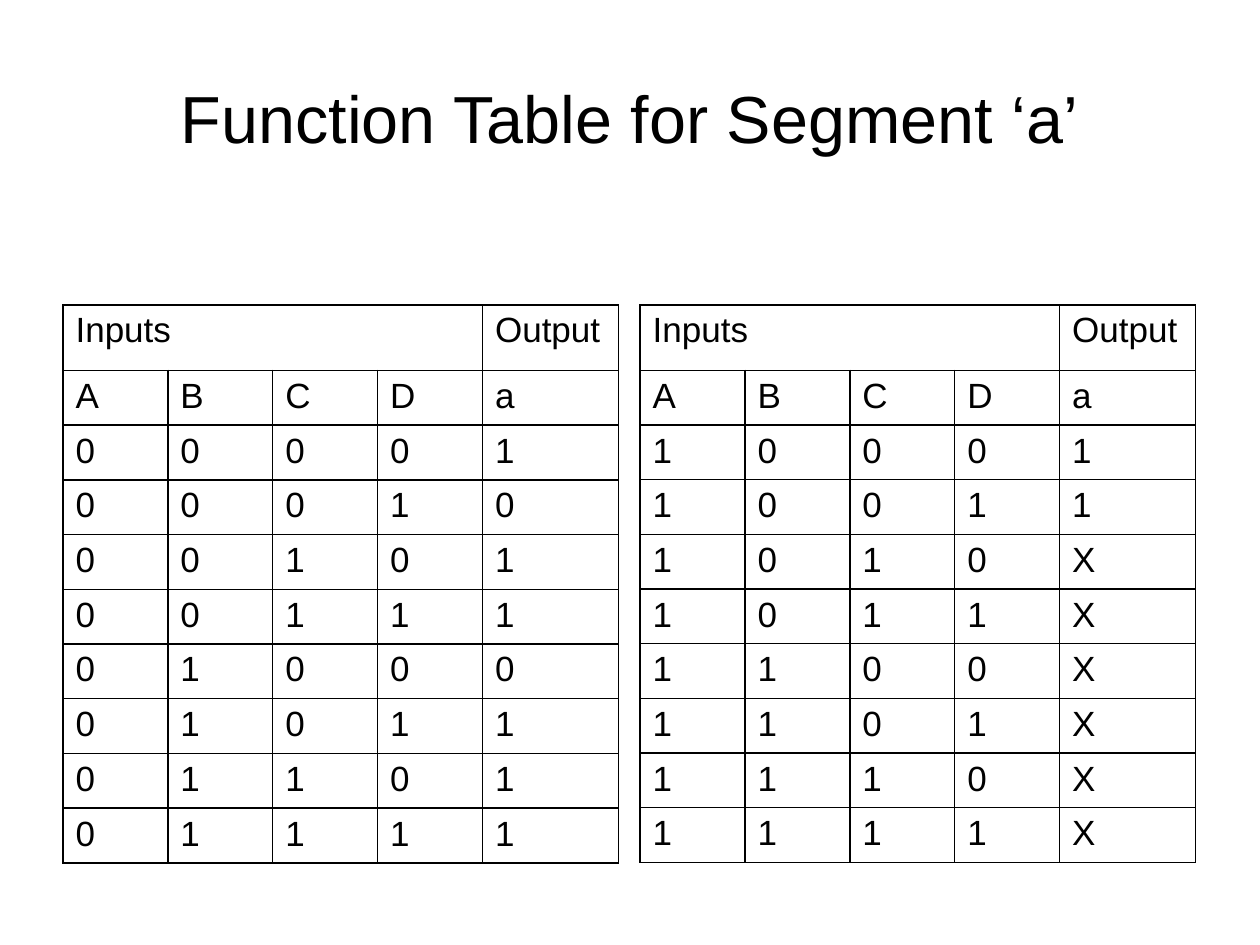
from dataclasses import dataclass

from lxml.etree import SubElement
from pptx import Presentation
from pptx.dml.color import RGBColor
from pptx.enum.text import MSO_ANCHOR, PP_ALIGN
from pptx.oxml.ns import qn
from pptx.util import Inches, Pt


@dataclass(frozen=True)
class Theme:
    font: str = "Arial"
    ink: str = "000000"
    title: float = 38
    body: float = 20
    rule: float = 1


@dataclass(frozen=True)
class Truth:
    """One half of the function table; first is its lowest input value."""
    left: float
    high: float
    first: int
    outs: str
    hang: float = 0


THEME = Theme()
TOP, WIDE, OUT, HEAD = 2.42, 4.41, 1.08, 0.52
HALVES = [
    Truth(0.5, 4.43, 0, "10110111", hang=0.38),
    Truth(5.08, 4.42, 8, "11XXXXXX"),
]


def style(para, size: float, align) -> None:
    para.alignment = align
    for run in para.runs:
        run.font.name = THEME.font
        run.font.size = Pt(size)
        run.font.color.rgb = RGBColor.from_string(THEME.ink)


def add_title(slide, text: str) -> None:
    box = slide.shapes.add_textbox(Inches(0.5), Inches(0.3), Inches(9), Inches(1.25))
    frame = box.text_frame
    frame.word_wrap = True
    frame.vertical_anchor = MSO_ANCHOR.MIDDLE
    frame.text = text
    style(frame.paragraphs[0], THEME.title, PP_ALIGN.CENTER)


def add_rules(cell) -> None:
    """Draw a line on each side of the cell."""
    props = cell._tc.get_or_add_tcPr()
    for side in ("lnL", "lnR", "lnT", "lnB"):
        line = SubElement(props, qn(f"a:{side}"), w=str(Pt(THEME.rule)))
        fill = SubElement(line, qn("a:solidFill"))
        SubElement(fill, qn("a:srgbClr"), val=THEME.ink)


def fill_cell(cell, text: str, hang: float) -> None:
    add_rules(cell)
    cell.fill.background()
    cell.text = text
    para = cell.text_frame.paragraphs[0]
    style(para, THEME.body, PP_ALIGN.JUSTIFY)
    if hang:
        props = para._p.get_or_add_pPr()
        props.set("marL", str(Inches(hang)))
        props.set("indent", str(-Inches(hang)))


def add_truth(slide, half: Truth) -> None:
    rows = [["Inputs", "", "", "", "Output"], list("ABCDa")]
    rows += [list(f"{n:04b}{out}") for n, out in enumerate(half.outs, half.first)]
    count = len(rows)
    table = slide.shapes.add_table(
        count, 5, Inches(half.left), Inches(TOP), Inches(WIDE), Inches(half.high)
    ).table
    table.first_row = table.horz_banding = False

    for i, col in enumerate(table.columns):
        col.width = Inches(OUT if i == 4 else (WIDE - OUT) / 4)
    for i, row in enumerate(table.rows):
        row.height = Inches((half.high - HEAD) / (count - 1) if i else HEAD)
        for cell, text in zip(row.cells, rows[i]):
            fill_cell(cell, text, half.hang)
    table.cell(0, 0).merge(table.cell(0, 3))


def main() -> None:
    deck = Presentation()
    deck.slide_width, deck.slide_height = Inches(10), Inches(7.5)
    slide = deck.slides.add_slide(deck.slide_layouts[6])
    add_title(slide, "Function Table for Segment ‘a’")
    for half in HALVES:
        add_truth(slide, half)
    deck.save("out.pptx")


if __name__ == "__main__":
    main()
